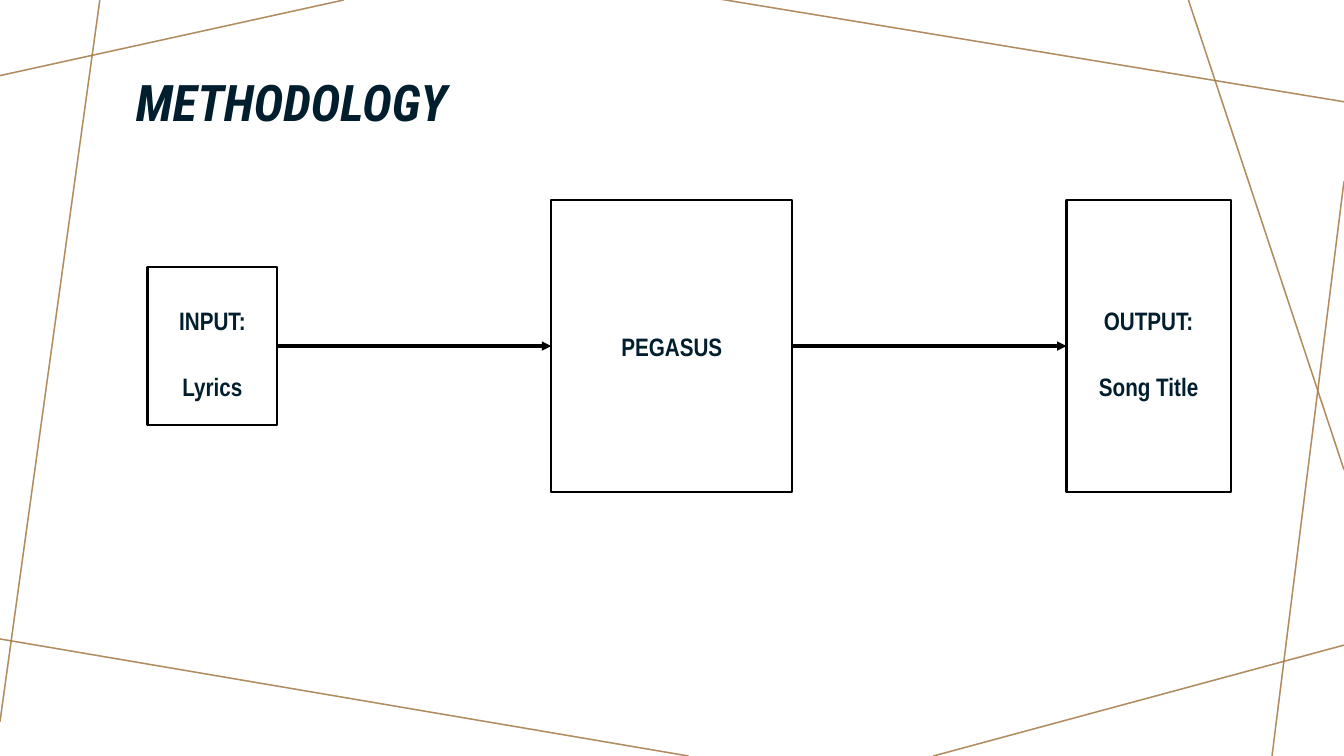
"""Build the methodology slide: a three-stage flow framed by thin crossing lines."""
from dataclasses import dataclass
from itertools import pairwise

from lxml import etree
from pptx import Presentation
from pptx.dml.color import RGBColor
from pptx.enum.shapes import MSO_CONNECTOR, MSO_SHAPE
from pptx.enum.text import MSO_ANCHOR, PP_ALIGN
from pptx.oxml.ns import qn
from pptx.shapes.connector import Connector
from pptx.slide import Slide
from pptx.util import Pt

STRAIGHT = MSO_CONNECTOR.STRAIGHT
RECTANGLE = MSO_SHAPE.RECTANGLE
MIDDLE, BOTTOM = MSO_ANCHOR.MIDDLE, MSO_ANCHOR.BOTTOM
CENTER = PP_ALIGN.CENTER

COLORS = {"ink": "001E2E", "black": "000000", "mauve": "BA9CA0", "bronze": "A57931"}
TITLE_FONT, BODY_FONT = "Roboto Condensed", "Arial Narrow"
WIDTH, HEIGHT = 960, 540
FLOW_Y = 247.2


@dataclass(frozen=True)
class Line:
    x1: float
    y1: float
    x2: float
    y2: float


@dataclass(frozen=True)
class Stage:
    left: float
    width: float
    height: float
    texts: tuple[str, ...]
    spacing: float

    @property
    def right(self) -> float:
        return self.left + self.width


FRAME = (
    Line(245.5, 0, 0, 54),
    Line(71.3, 0, 0, 515.5),
    Line(491.8, HEIGHT, -3.6, 455.8),
    Line(WIDTH, 460.8, 666.7, HEIGHT),
    Line(WIDTH, 129.6, 908.6, HEIGHT),
    Line(WIDTH, 335.5, 848.9, 0),
    Line(WIDTH, 72.7, 514.1, -0.7),
)
STAGES = (
    Stage(105.4, 92.7, 113.4, ("INPUT:", "Lyrics"), 1.5),
    Stage(393.8, 172.1, 208.4, ("PEGASUS",), 1),
    Stage(761.8, 117.4, 208.4, ("OUTPUT:", "Song Title"), 1.5),
)


def color(name: str) -> RGBColor:
    return RGBColor.from_string(COLORS[name])


def add_line(s: Slide, line: Line, color_name: str, width: float) -> Connector:
    c = s.shapes.add_connector(
        STRAIGHT, Pt(line.x1), Pt(line.y1), Pt(line.x2), Pt(line.y2)
    )
    c.line.color.rgb = color(color_name)
    c.line.width = Pt(width)
    etree.SubElement(c._element.spPr, qn("a:effectLst"))
    return c


def add_frame_line(s: Slide, line: Line, color_name: str) -> None:
    c = add_line(s, line, color_name, 1)
    rgb = c._element.spPr.find(".//" + qn("a:srgbClr"))
    etree.SubElement(rgb, qn("a:alpha"), val="70000")


def add_arrow(s: Slide, start: Stage, end: Stage) -> None:
    c = add_line(s, Line(start.right, FLOW_Y, end.left, FLOW_Y), "black", 2.25)
    etree.SubElement(c.line._get_or_add_ln(), qn("a:tailEnd"), type="triangle")


def add_title(s: Slide, text: str) -> None:
    tf = s.shapes.add_textbox(Pt(90), Pt(41.8), Pt(779.8), Pt(56.2)).text_frame
    tf.word_wrap = True
    tf.vertical_anchor = BOTTOM
    p = tf.paragraphs[0]
    p.text = text
    p.line_spacing = 0.9
    p.font.name, p.font.size = TITLE_FONT, Pt(36)
    p.font.bold = p.font.italic = True
    p.font.color.rgb = color("ink")


def add_stage(s: Slide, stage: Stage) -> None:
    sp = s.shapes.add_shape(
        RECTANGLE,
        Pt(stage.left),
        Pt(FLOW_Y - stage.height / 2),
        Pt(stage.width),
        Pt(stage.height),
    )
    sp.shadow.inherit = False
    sp.fill.background()
    sp.line.color.rgb = color("black")
    sp.line.width = Pt(1.5)
    tf = sp.text_frame
    tf.word_wrap = True
    tf.vertical_anchor = MIDDLE
    tf.text = "\n".join(stage.texts)
    for p in tf.paragraphs:
        p.alignment = CENTER
        p.line_spacing = stage.spacing
        p.space_before, p.space_after = Pt(10), Pt(5)
        p.font.name, p.font.size, p.font.bold = BODY_FONT, Pt(18), True
        p.font.color.rgb = color("ink")


def main() -> None:
    prs = Presentation()
    prs.slide_width, prs.slide_height = Pt(WIDTH), Pt(HEIGHT)
    s = prs.slides.add_slide(prs.slide_layouts[6])
    for color_name in ("mauve", "bronze"):
        for line in FRAME:
            add_frame_line(s, line, color_name)
    add_title(s, "METHODOLOGY")
    for stage in STAGES:
        add_stage(s, stage)
    for start, end in pairwise(STAGES):
        add_arrow(s, start, end)
    prs.save("out.pptx")


if __name__ == "__main__":
    main()
